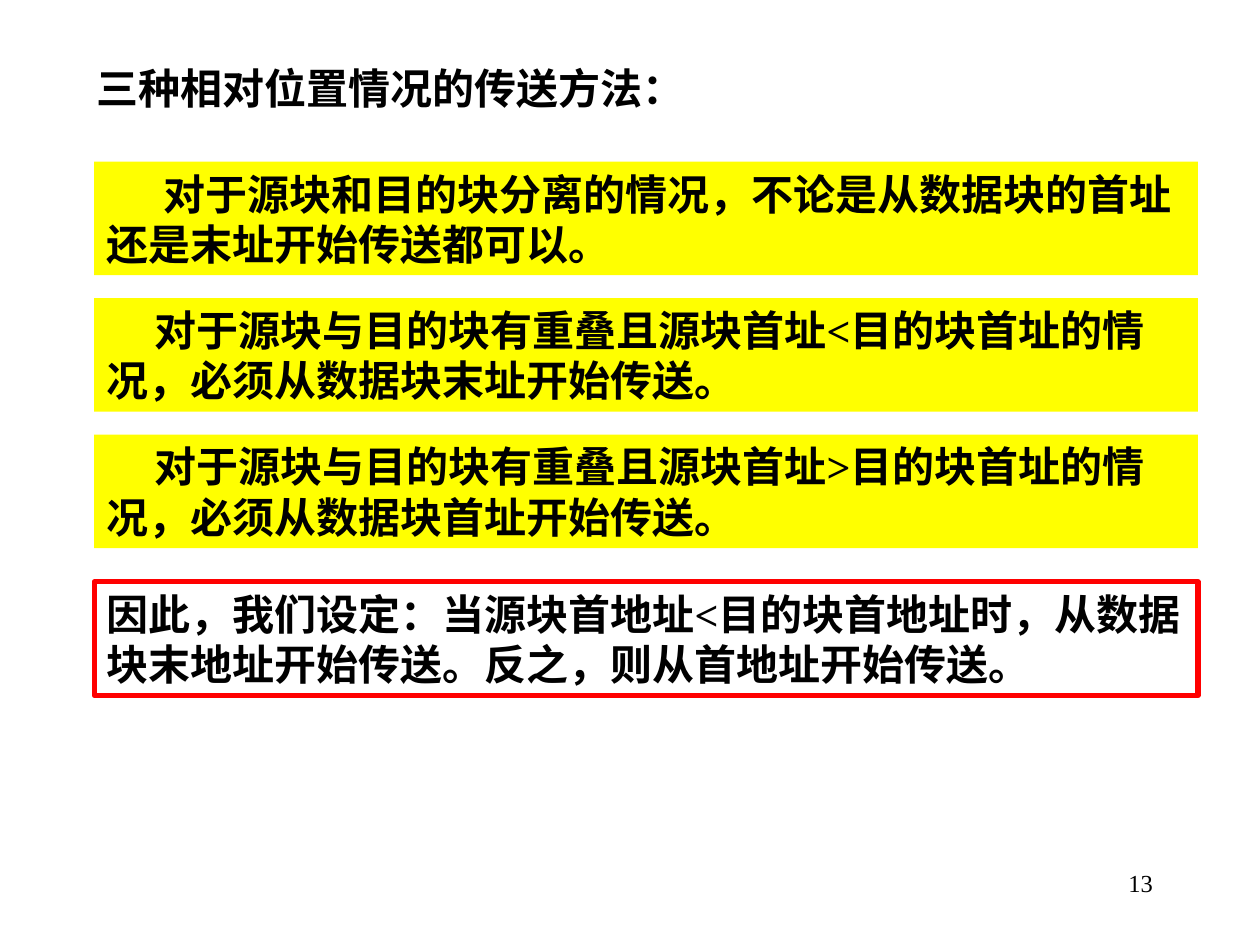
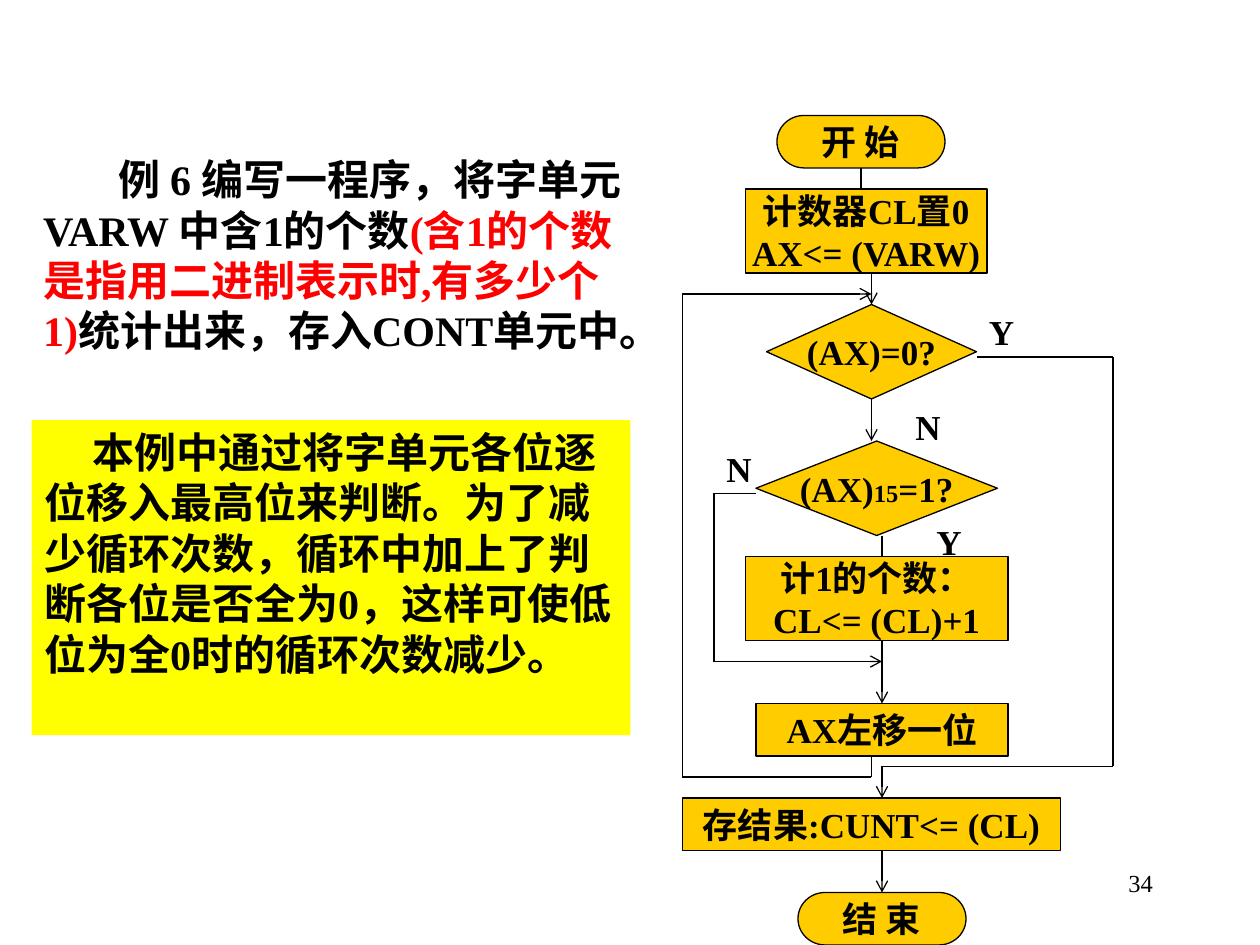
from pptx import Presentation
from pptx.dml.color import RGBColor
from pptx.enum.shapes import MSO_CONNECTOR as CONN, MSO_SHAPE as SHAPE
from pptx.enum.text import MSO_ANCHOR as ANCHOR, PP_ALIGN as ALIGN
from pptx.oxml.ns import qn
from pptx.util import Cm, Pt
from lxml.etree import SubElement

BLACK = RGBColor(0x00, 0x00, 0x00)
WHITE = RGBColor(0xFF, 0xFF, 0xFF)
RED = RGBColor(0xFF, 0x00, 0x00)
YELLOW = RGBColor(0xFF, 0xFF, 0x00)
GOLD = RGBColor(0xFF, 0xCC, 0x00)
FONT = "Times New Roman"
TITLE_ONLY, BLANK = 5, 6
TOP, BOTTOM = 0, 2


def grid(n):
    """Length of n flowchart grid cells, twelve to the inch."""
    return Cm(n * 2.54 / 12)


def write(tf, text, size=24, bold=True, color=BLACK, align=ALIGN.LEFT,
          anchor=ANCHOR.TOP, wrap=True, indent=0):
    """Fill tf; text is a string or a list of (text, color, size) runs."""
    tf.word_wrap = wrap
    tf.vertical_anchor = anchor
    tf.margin_left = tf.margin_right = Cm(0.25)
    tf.margin_top = tf.margin_bottom = Cm(0.13)
    lines = text.split("\n") if isinstance(text, str) else [text]
    for i, line in enumerate(lines):
        p = tf.add_paragraph() if i else tf.paragraphs[0]
        p.alignment = align
        if indent:
            p._p.get_or_add_pPr().set("indent", str(Cm(indent)))
        runs = [(line, color, size)] if isinstance(line, str) else line
        for run_text, run_color, run_size in runs:
            r = p.add_run()
            r.text = run_text
            r.font.name = FONT
            r.font.size = Pt(run_size)
            r.font.bold = bold
            r.font.color.rgb = run_color


class Deck:
    """Holds the presentation, its style and the current slide."""

    def __init__(self):
        self.prs = Presentation()
        self.prs.slide_width, self.prs.slide_height = Cm(25.4), Cm(19.05)
        self.s = None

    def slide(self, number, layout):
        self.s = self.prs.slides.add_slide(self.prs.slide_layouts[layout])
        self.text(number, Cm(18.2), Cm(17.36), Cm(5.29), Cm(1.27),
                  size=14, bold=False, align=ALIGN.RIGHT)

    def title(self, text, x, y, w, h):
        sp = self.s.shapes.title
        sp.left, sp.top, sp.width, sp.height = x, y, w, h
        write(sp.text_frame, text)

    def text(self, text, x, y, w, h, **fmt):
        sp = self.s.shapes.add_textbox(x, y, w, h)
        write(sp.text_frame, text, **fmt)

    def box(self, text, x, y, w, h, kind=SHAPE.RECTANGLE, fill=YELLOW,
            line=None, width=0.75, **fmt):
        sp = self.s.shapes.add_shape(kind, x, y, w, h)
        sp.shadow.inherit = False
        sp.fill.solid()
        sp.fill.fore_color.rgb = fill
        if line is None:
            sp.line.fill.background()
        else:
            sp.line.color.rgb = line
            sp.line.width = Pt(width)
        write(sp.text_frame, text, **fmt)
        return sp

    def node(self, text, x, y, w, h, kind=SHAPE.RECTANGLE):
        return self.box(text, *map(grid, (x, y, w, h)), kind=kind, fill=GOLD,
                        line=BLACK, size=20, align=ALIGN.CENTER,
                        anchor=ANCHOR.MIDDLE, wrap=False)

    def route(self, *points, arrow=True, begin=None, end=None):
        """Straight segments through grid points, arrowhead on the last."""
        for (x1, y1), (x2, y2) in zip(points, points[1:]):
            c = self.s.shapes.add_connector(CONN.STRAIGHT, grid(x1), grid(y1),
                                            grid(x2), grid(y2))
            c.line.color.rgb = BLACK
            c.line.width = Pt(0.75)
            SubElement(c._element.spPr, qn("a:effectLst"))
        if arrow:
            SubElement(c.line._get_or_add_ln(), qn("a:tailEnd"), type="arrow")
        if begin is not None:
            c.begin_connect(begin, BOTTOM)
        if end is not None:
            c.end_connect(end, TOP)


def transfer_slide(deck):
    deck.slide("13", TITLE_ONLY)
    deck.title("三种相对位置情况的传送方法：", Cm(1.7), Cm(1.12), Cm(12.8), Cm(1.27))

    # The three cases
    left, width, height = Cm(1.9), Cm(22.25), Cm(2.29)
    cases = [
        ("对于源块和目的块分离的情况，不论是从数据块的首址还是末址开始传送都可以。", 1.15),
        ("对于源块与目的块有重叠且源块首址<目的块首址的情况，必须从数据块末址开始传送。", 0.97),
        ("对于源块与目的块有重叠且源块首址>目的块首址的情况，必须从数据块首址开始传送。", 0.97),
    ]
    for i, (case, indent) in enumerate(cases):
        deck.box(case, left, Cm(3.26 + 2.75 * i), width, height, indent=indent)

    # Conclusion
    deck.box("因此，我们设定：当源块首地址<目的块首地址时，从数据块末地址开始传送。"
             "反之，则从首地址开始传送。",
             left, Cm(11.73), width, height, fill=WHITE, line=RED, width=3)


def flowchart_slide(deck):
    deck.slide("34", BLANK)

    # Task and explanation
    deck.text([("例 6 编写一程序，将字单元VARW 中含1的个数", BLACK, 24),
               ("(含1的个数是指用二进制表示时,有多少个1)", RED, 24),
               ("统计出来，存入CONT单元中。", BLACK, 24)],
              Cm(0.62), Cm(2.97), Cm(12.27), Cm(5.33), indent=1.52)
    deck.box("本例中通过将字单元各位逐位移入最高位来判断。为了减少循环次数，"
             "循环中加上了判断各位是否全为0，这样可使低位为全0时的循环次数减少。",
             Cm(0.64), Cm(8.47), Cm(12.07), Cm(6.35), indent=0.97)

    # Flowchart nodes
    start = deck.node("开 始", 74, 11, 16, 5, SHAPE.FLOWCHART_TERMINATOR)
    deck.node("计数器CL置0\nAX<= (VARW)", 71, 18, 23, 8)
    zero_test = deck.node("(AX)=0?", 73, 29, 20, 9, SHAPE.FLOWCHART_DECISION)
    deck.node([("(AX)", BLACK, 20), ("15", BLACK, 14), ("=1?", BLACK, 20)],
              72, 42, 23, 9, SHAPE.FLOWCHART_DECISION)
    deck.node("计1的个数：\nCL<= (CL)+1", 71, 53, 25, 8)
    shift = deck.node("AX左移一位", 72, 67, 24, 5)
    deck.node("存结果:CUNT<= (CL)", 65, 76, 36, 5)
    finish = deck.node("结 束", 76, 85, 16, 5, SHAPE.FLOWCHART_TERMINATOR)

    # Main flow
    deck.route((82, 16), (82, 18), arrow=False, begin=start)
    deck.route((83, 26), (83, 29), end=zero_test)
    deck.route((83, 38), (83, 42), begin=zero_test)
    deck.route((84, 51), (84, 53), arrow=False)
    deck.route((84, 61), (84, 67), end=shift)
    deck.route((84, 81), (84, 85), end=finish)

    # Exit, skip and loop branches
    deck.route((93, 34), (106, 34), (106, 73), (84, 73), (84, 76))
    deck.route((72, 47), (68, 47), (68, 63), (84, 63))
    deck.route((83, 72), (83, 74), (65, 74), (65, 28), (83, 28))

    # Branch labels
    for label, x, y, w in [("Y", 93, 29, 7), ("N", 86, 38, 5),
                           ("N", 68, 42, 5), ("Y", 88, 49, 8)]:
        deck.text(label, grid(x), grid(y), grid(w), Cm(1.12), size=20)


def main():
    deck = Deck()
    transfer_slide(deck)
    flowchart_slide(deck)
    deck.prs.save("out.pptx")


if __name__ == "__main__":
    main()
